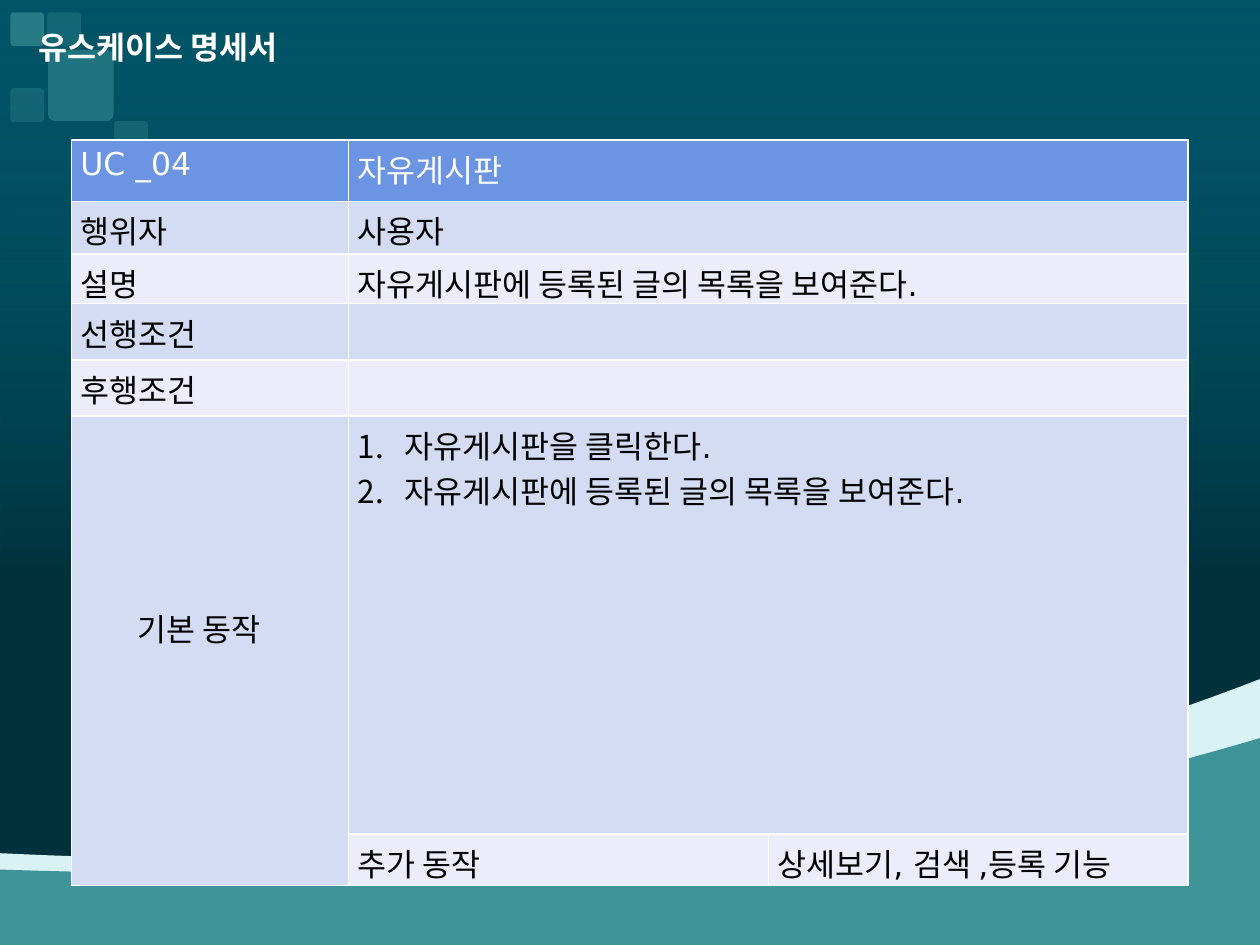
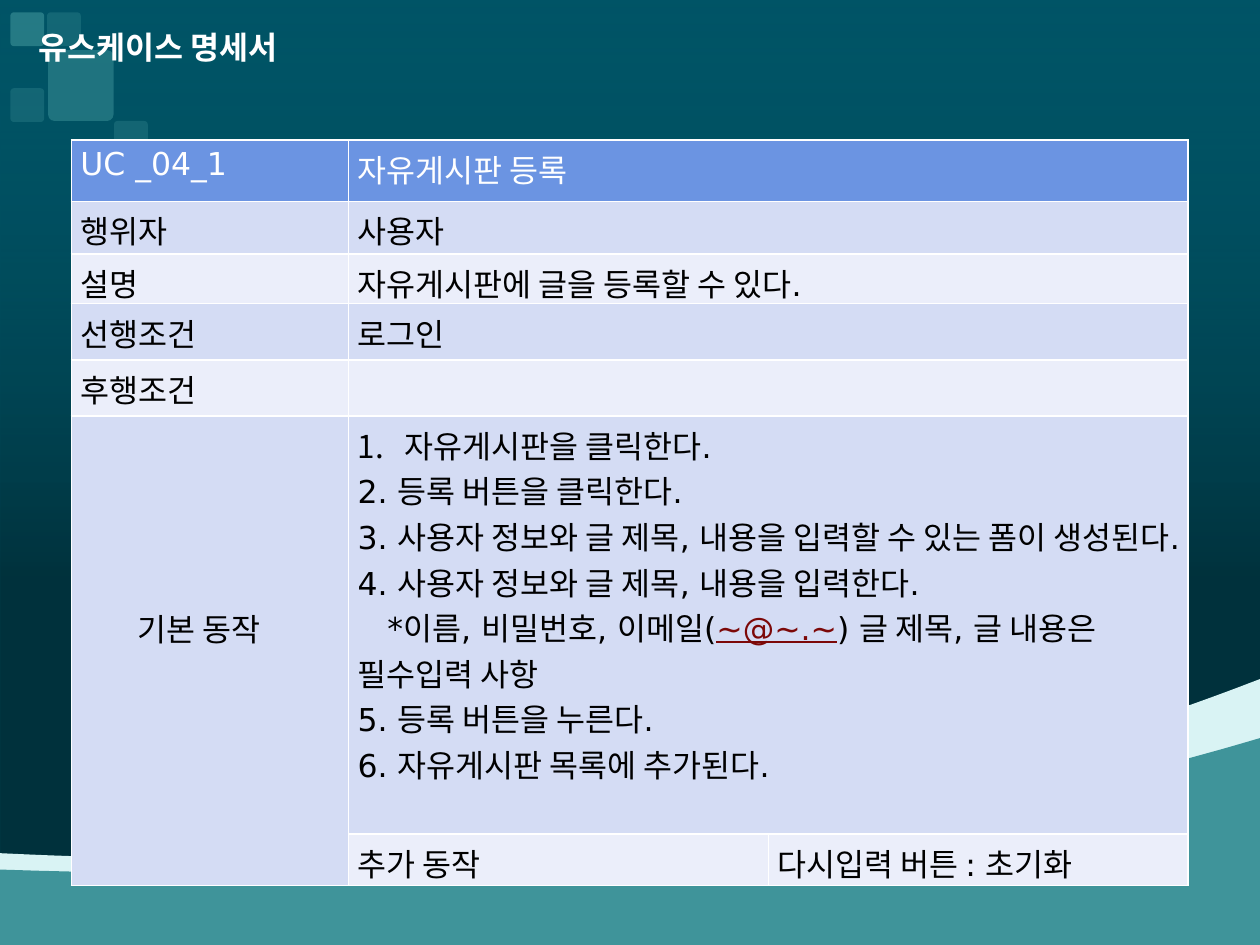
"""Build two use case specification slides with a shared teal layout."""
from dataclasses import dataclass
from itertools import product
from typing import NamedTuple

from lxml import etree
from pptx import Presentation
from pptx.dml.color import RGBColor
from pptx.enum.shapes import MSO_SHAPE, PP_PLACEHOLDER
from pptx.enum.text import MSO_ANCHOR, MSO_AUTO_SIZE, PP_ALIGN
from pptx.oxml.ns import qn
from pptx.util import Cm, Pt

RECTANGLE = MSO_SHAPE.RECTANGLE
ROUNDED = MSO_SHAPE.ROUNDED_RECTANGLE
TITLE = PP_PLACEHOLDER.TITLE
TOP = MSO_ANCHOR.TOP
LEFT = PP_ALIGN.LEFT
GROW = MSO_AUTO_SIZE.SHAPE_TO_FIT_TEXT

COLORS = {
    "deep": "005466", "shade": "000000", "foam": "D9F3F4", "teal": "3F949A",
    "header": "6B94E2", "odd": "D4DCF4", "even": "EBEEFA",
    "white": "FFFFFF", "text": "000000", "link": "7C0808",
}
FONT = "DejaVu Sans"
SIZE = Pt(18)
WIDTH, HEIGHT = 25.4, 19.05
COLUMNS = (5.59, 8.46, 8.46)
ROWS = (1.24, 1.06, 0.97, 1.14, 1.12, 8.43, 1.04)
HANGING = 0.95


class Tile(NamedTuple):
    left: float
    top: float
    width: float
    height: float
    alpha: int


class Span(NamedTuple):
    text: str
    color: str = "text"
    underline: bool = False


class Para(NamedTuple):
    spans: tuple[Span, ...]
    numbered: bool = False
    indent: float = 0


@dataclass
class UseCase:
    code: str
    name: str
    actor: str
    summary: str
    before: str
    after: str
    steps: list[Para]
    extra: str


TILES = (
    Tile(0.95, 0.25, 0.68, 0.68, 30),
    Tile(0.21, 1.78, 0.68, 0.68, 30),
    Tile(0.21, 0.25, 0.68, 0.68, 60),
    Tile(2.3, 2.44, 0.68, 0.68, 30),
    Tile(0.97, 1.01, 1.32, 1.43, 50),
)
WAVES = {
    "foam": ((0, 17.2), (4.09, 17.4), (7.44, 17.32), (13.23, 16.74),
             (19.02, 16.13), (24.08, 14.2), (25.4, 13.69)),
    "teal": ((0, 17.53), (6.25, 17.75), (11.3, 17.42), (15.62, 16.94),
             (19.91, 16.48), (24.36, 15.19), (25.4, 14.88)),
}


def step(text: str, numbered: bool = False) -> Para:
    """Return a step made of one plain span."""
    return Para((Span(text),), numbered)


USE_CASES = (
    UseCase(
        "UC _04", "자유게시판", "사용자",
        "자유게시판에 등록된 글의 목록을 보여준다.", "", "",
        [step("자유게시판을 클릭한다.", True),
         step("자유게시판에 등록된 글의 목록을 보여준다.", True)],
        "상세보기, 검색 ,등록 기능",
    ),
    UseCase(
        "UC _04_1", "자유게시판 등록", "사용자",
        "자유게시판에 글을 등록할 수 있다.", "로그인", "",
        [step("자유게시판을 클릭한다.", True),
         step("2. 등록 버튼을 클릭한다."),
         step("3. 사용자 정보와 글 제목, 내용을 입력할 수 있는 폼이 생성된다."),
         step("4. 사용자 정보와 글 제목, 내용을 입력한다."),
         Para((Span("*이름, 비밀번호, 이메일("), Span("~@~.~", "link", True),
               Span(") 글 제목, 글 내용은 필수입력 사항")), indent=0.6),
         step("5. 등록 버튼을 누른다."),
         step("6. 자유게시판 목록에 추가된다.")],
        "다시입력 버튼 : 초기화",
    ),
)


def rgb(name: str) -> RGBColor:
    """Return a palette colour."""
    return RGBColor.from_string(COLORS[name])


def set_alpha(shape, *percents: int) -> None:
    """Set the opacity of each fill colour of a shape in turn."""
    for color, percent in zip(shape.element.spPr.iter(qn("a:srgbClr")), percents):
        etree.SubElement(color, qn("a:alpha"), val=str(percent * 1000))


def finish(shape, color: str) -> None:
    """Give a shape a plain fill without line or shadow."""
    shape.shadow.inherit = False
    shape.fill.solid()
    shape.fill.fore_color.rgb = rgb(color)
    shape.line.fill.background()


def add_shade(page):
    """Draw the dark veil that deepens down the page."""
    shade = page.shapes.add_shape(RECTANGLE, 0, 0, Cm(WIDTH), Cm(HEIGHT))
    finish(shade, "shade")
    shade.fill.gradient()
    shade.fill.gradient_angle = 270
    for stop, place, color in zip(shade.fill.gradient_stops, (0, 0.61), ("deep", "shade")):
        stop.position = place
        stop.color.rgb = rgb(color)
    set_alpha(shade, 0, 40)
    return shade


def curve(points: tuple, count: int = 24) -> list[tuple[int, int]]:
    """Return sampled points along a chain of cubic curves."""
    sampled = []
    for first in range(0, len(points) - 1, 3):
        for index in range(count + 1):
            t = index / count
            weights = ((1 - t) ** 3, 3 * t * (1 - t) ** 2, 3 * t * t * (1 - t), t ** 3)
            pairs = list(zip(weights, points[first:first + 4]))
            sampled.append(tuple(Cm(sum(w * p[axis] for w, p in pairs)) for axis in (0, 1)))
    return sampled


def add_wave(page, color: str, points: tuple):
    """Draw a wave that fills the page down to its bottom edge."""
    crest = curve(points)
    builder = page.shapes.build_freeform(*crest[0])
    builder.add_line_segments(crest[1:] + [(Cm(WIDTH), Cm(HEIGHT)), (0, Cm(HEIGHT))])
    wave = builder.convert_to_shape()
    finish(wave, color)
    return wave


def add_tile(page, tile: Tile):
    """Draw a translucent rounded tile."""
    shape = page.shapes.add_shape(ROUNDED, *(Cm(length) for length in tile[:4]))
    shape.adjustments[0] = 0.1
    finish(shape, "teal")
    set_alpha(shape, tile.alpha)
    return shape


def decorate_layout(layout, page) -> None:
    """Draw the shared decoration and move it from the page to its layout."""
    layout.background.fill.solid()
    layout.background.fill.fore_color.rgb = rgb("deep")
    for holder in list(layout.placeholders):
        if holder.placeholder_format.type != TITLE:
            holder.element.getparent().remove(holder.element)
    shapes = [add_shade(page)]
    shapes += [add_wave(page, color, points) for color, points in WAVES.items()]
    shapes += [add_tile(page, tile) for tile in TILES]
    for index, shape in enumerate(shapes, 2):
        layout.shapes.element.insert(index, shape.element)


def add_span(para, span: Span, bold: bool = False) -> None:
    """Add one formatted run to a paragraph."""
    run = para.add_run()
    run.text = span.text
    run.font.name = FONT
    run.font.size = SIZE
    run.font.bold = bold
    run.font.underline = span.underline
    run.font.color.rgb = rgb(span.color)


def set_title(page, text: str) -> None:
    """Place and fill the title placeholder."""
    title = page.shapes.title
    title.left, title.top, title.width, title.height = Cm(0.53), Cm(0.43), Cm(13.67), Cm(1.02)
    frame = title.text_frame
    frame.word_wrap = True
    frame.auto_size = GROW
    frame.vertical_anchor = TOP
    frame.paragraphs[0].alignment = LEFT
    add_span(frame.paragraphs[0], Span(text, "white"), True)


def fill_cell(cell, paras: list[Para]) -> None:
    """Write paragraphs into a table cell."""
    frame = cell.text_frame
    for index, item in enumerate(paras):
        para = frame.add_paragraph() if index else frame.paragraphs[0]
        properties = para._p.get_or_add_pPr()
        if item.numbered:
            properties.set("marL", str(Cm(HANGING)))
            properties.set("indent", str(-Cm(HANGING)))
            etree.SubElement(properties, qn("a:buAutoNum"), type="arabicPeriod")
        elif item.indent:
            properties.set("marL", "0")
            properties.set("indent", str(Cm(item.indent)))
        for span in item.spans:
            add_span(para, span)


def style_cell(cell, color: str) -> None:
    """Set the margins, borders and fill of a cell."""
    cell.margin_left = cell.margin_right = Cm(0.18)
    cell.margin_top = cell.margin_bottom = Cm(0.12)
    properties = cell._tc.get_or_add_tcPr()
    for side in ("lnL", "lnR", "lnT", "lnB"):
        line = etree.SubElement(properties, qn(f"a:{side}"), w=str(Pt(1)))
        solid = etree.SubElement(line, qn("a:solidFill"))
        etree.SubElement(solid, qn("a:srgbClr"), val=COLORS["white"])
    cell.fill.solid()
    cell.fill.fore_color.rgb = rgb(color)


def add_specification(page, case: UseCase) -> None:
    """Draw the specification table of a use case."""
    frame = page.shapes.add_table(len(ROWS), len(COLUMNS), Cm(1.44), Cm(2.82),
                                  Cm(sum(COLUMNS)), Cm(sum(ROWS)))
    table = frame.table
    table.horz_banding = False
    for column, width in zip(table.columns, COLUMNS):
        column.width = Cm(width)
    for row, height in zip(table.rows, ROWS):
        row.height = Cm(height)
    for row, column in product(range(len(ROWS)), range(len(COLUMNS))):
        color = "header" if row == 0 else "odd" if row % 2 else "even"
        style_cell(table.cell(row, column), color)
    last = len(ROWS) - 1
    for row in range(last):
        table.cell(row, 1).merge(table.cell(row, 2))
    action = table.cell(last - 1, 0)
    action.merge(table.cell(last, 0))
    action.margin_left, action.margin_top = Cm(1.33), Cm(3.82)
    fields = ((case.code, case.name), ("행위자", case.actor), ("설명", case.summary),
              ("선행조건", case.before), ("후행조건", case.after))
    for row, field in enumerate(fields):
        for column, text in enumerate(field):
            if text:
                span = Span(text, "text" if row else "white")
                fill_cell(table.cell(row, column), [Para((span,))])
    fill_cell(action, [step("기본 동작")])
    fill_cell(table.cell(last - 1, 1), case.steps)
    fill_cell(table.cell(last, 1), [step("추가 동작")])
    fill_cell(table.cell(last, 2), [step(case.extra)])


def main() -> None:
    """Build and save the deck."""
    deck = Presentation()
    deck.slide_width, deck.slide_height = Cm(WIDTH), Cm(HEIGHT)
    layout = deck.slide_layouts.get_by_name("Title Only")
    for index, case in enumerate(USE_CASES):
        page = deck.slides.add_slide(layout)
        if index == 0:
            decorate_layout(layout, page)
        set_title(page, "유스케이스 명세서")
        add_specification(page, case)
    deck.save("out.pptx")


if __name__ == "__main__":
    main()
